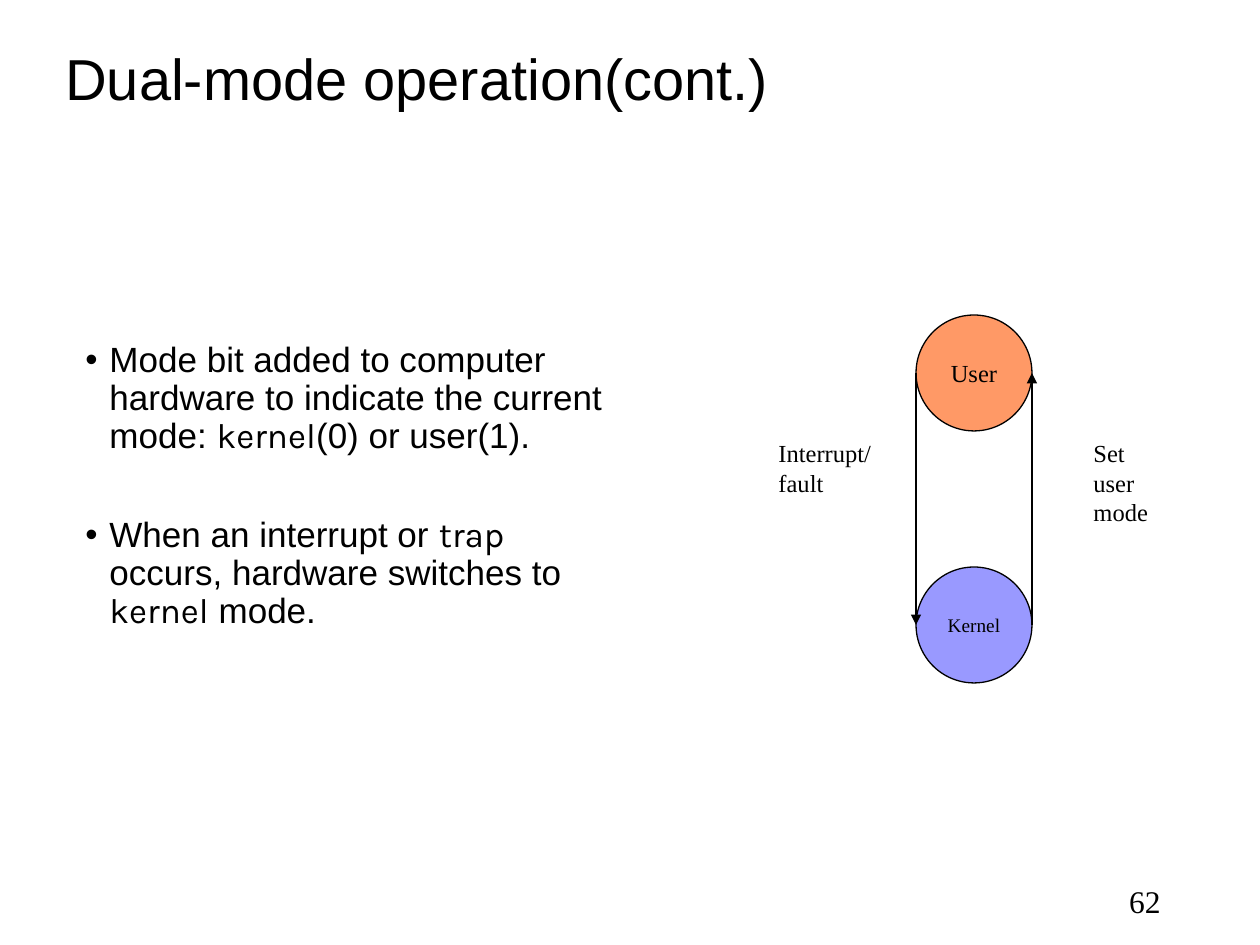
from dataclasses import dataclass

from lxml.etree import SubElement
from pptx import Presentation
from pptx.dml.color import RGBColor
from pptx.enum.shapes import MSO_CONNECTOR, MSO_SHAPE
from pptx.enum.text import MSO_ANCHOR, PP_ALIGN
from pptx.oxml.ns import qn
from pptx.util import Inches, Pt

COLORS = {"black": "000000", "user": "FF9966", "kernel": "9999FF"}
SANS, SERIF, TERM = "Arial", "Times New Roman", "Karla"
DIAMETER = 0.92
MODE_LEFT = 7.27


@dataclass
class Label:
    text: str
    left: float
    top: float
    width: float
    height: float
    size: float = 14
    font: str = SERIF
    align: PP_ALIGN = PP_ALIGN.LEFT
    anchor: MSO_ANCHOR = MSO_ANCHOR.TOP
    spacing: float = 1.0


@dataclass
class Mode:
    name: str
    top: float
    size: float
    color: str

    @property
    def middle(self) -> float:
        return self.top + DIAMETER / 2


@dataclass
class Bullet:
    pieces: list[tuple[str, str]]
    before: float = 0


def rgb(name: str) -> RGBColor:
    return RGBColor.from_string(COLORS[name])


def style(font, name: str, size: float) -> None:
    font.name = name
    font.size = Pt(size)
    font.color.rgb = rgb("black")


def add_label(s, label: Label) -> None:
    box = s.shapes.add_textbox(Inches(label.left), Inches(label.top),
                               Inches(label.width), Inches(label.height))
    tf = box.text_frame
    tf.word_wrap = True
    tf.vertical_anchor = label.anchor
    tf.text = label.text
    for p in tf.paragraphs:
        p.alignment = label.align
        p.line_spacing = label.spacing
        for r in p.runs:
            style(r.font, label.font, label.size)


def add_bullets(s, bullets: list[Bullet]) -> None:
    box = s.shapes.add_textbox(Inches(0.58), Inches(2.67), Inches(4.42), Inches(3.25))
    tf = box.text_frame
    tf.word_wrap = True
    for i, bullet in enumerate(bullets):
        p = tf.add_paragraph() if i else tf.paragraphs[0]
        pPr = p._p.get_or_add_pPr()
        pPr.set("marL", str(Inches(0.19)))
        pPr.set("indent", str(Inches(-0.19)))
        SubElement(pPr, qn("a:buFont")).set("typeface", SANS)
        SubElement(pPr, qn("a:buChar")).set("char", "•")
        p.line_spacing = 0.9
        p.space_before = Pt(bullet.before)
        for text, font in bullet.pieces:
            r = p.add_run()
            r.text = text
            style(r.font, font, 20)


def add_mode(s, mode: Mode) -> None:
    sp = s.shapes.add_shape(MSO_SHAPE.OVAL, Inches(MODE_LEFT), Inches(mode.top),
                            Inches(DIAMETER), Inches(DIAMETER))
    sp.shadow.inherit = False
    sp.fill.solid()
    sp.fill.fore_color.rgb = rgb(mode.color)
    sp.line.color.rgb = rgb("black")
    sp.line.width = Pt(0.75)
    tf = sp.text_frame
    tf.vertical_anchor = MSO_ANCHOR.MIDDLE
    tf.text = mode.name
    p = tf.paragraphs[0]
    p.alignment = PP_ALIGN.CENTER
    style(p.runs[0].font, SERIF, mode.size)


def add_switch(s, x: float, start: Mode, end: Mode) -> None:
    cn = s.shapes.add_connector(MSO_CONNECTOR.STRAIGHT, Inches(x), Inches(start.middle),
                                Inches(x), Inches(end.middle))
    cn.line.color.rgb = rgb("black")
    cn.line.width = Pt(0.75)
    SubElement(cn.line._get_or_add_ln(), qn("a:tailEnd")).set("type", "triangle")
    SubElement(cn._element.spPr, qn("a:effectLst"))


def main() -> None:
    prs = Presentation()
    prs.slide_width, prs.slide_height = Inches(10), Inches(7.5)
    s = prs.slides.add_slide(prs.slide_layouts[6])

    add_label(s, Label("Dual-mode operation(cont.)", 0.42, 0.3, 9, 0.7, 33, SANS,
                       anchor=MSO_ANCHOR.MIDDLE, spacing=0.9))
    add_bullets(s, [
        Bullet([("Mode bit added to computer hardware to indicate the current mode: ", SANS),
                ("kernel", TERM), ("(0) or user(1).", SANS)]),
        Bullet([("When an interrupt or ", SANS), ("trap", TERM),
                (" occurs, hardware switches to ", SANS),
                ("kernel", TERM), (" mode.", SANS)], before=35),
    ])

    user = Mode("User", 2.5, 14, "user")
    kernel = Mode("Kernel", 4.5, 11, "kernel")
    for mode in (user, kernel):
        add_mode(s, mode)
    add_switch(s, MODE_LEFT, user, kernel)
    add_switch(s, MODE_LEFT + DIAMETER, kernel, user)

    for label in (
        Label("Set\nuser\nmode", 8.58, 3.43, 0.83, 0.8),
        Label("Interrupt/\nfault", 6.08, 3.43, 1.05, 0.57),
        Label("62", 7.06, 6.95, 2.25, 0.4, 18, align=PP_ALIGN.RIGHT),
    ):
        add_label(s, label)
    prs.save("out.pptx")


if __name__ == "__main__":
    main()
